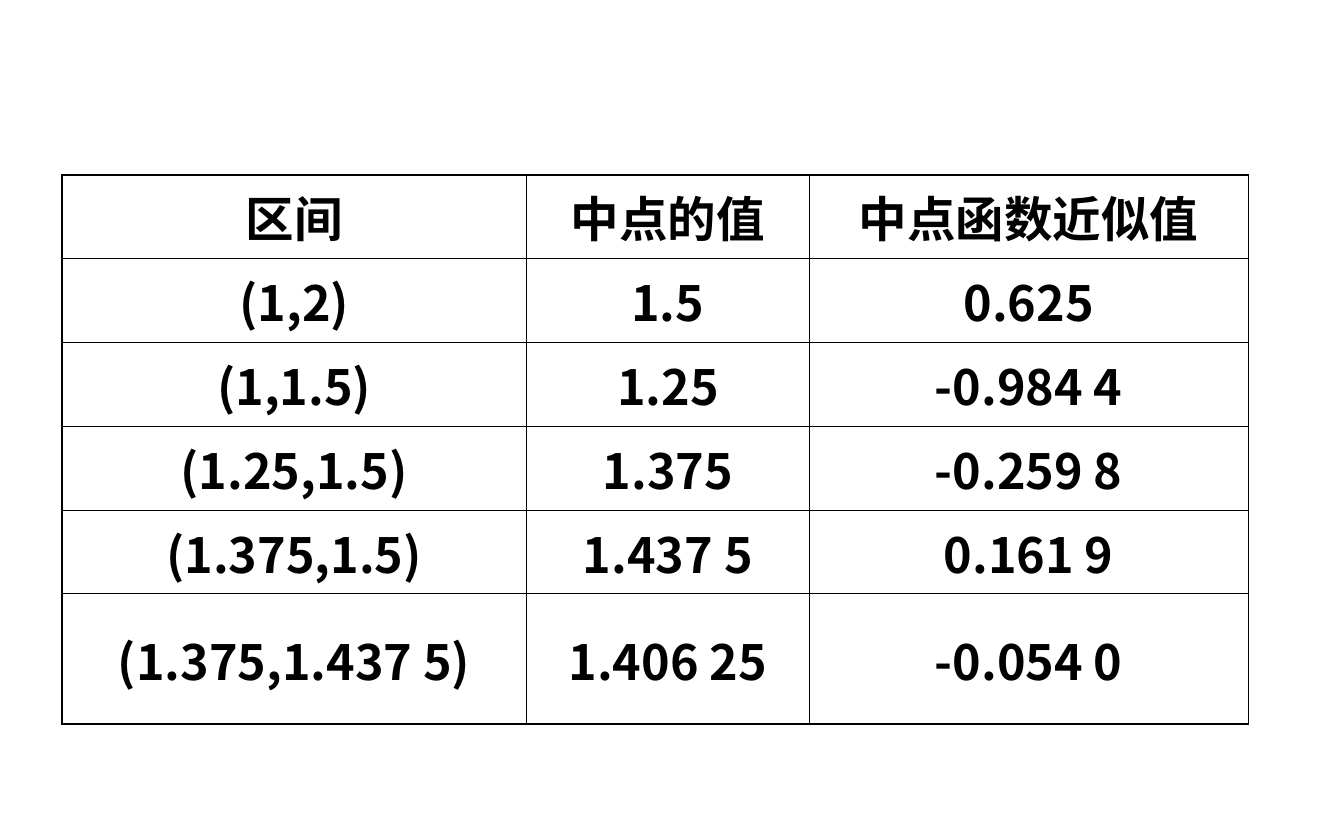
from lxml.etree import SubElement
from pptx import Presentation
from pptx.dml.color import RGBColor
from pptx.enum.text import MSO_ANCHOR, PP_ALIGN
from pptx.oxml.ns import qn
from pptx.util import Inches, Pt

BLACK = RGBColor(0, 0, 0)
WHITE = RGBColor(255, 255, 255)
FONT = "Noto Sans CJK SC"
THIN, THICK = 0.45, 0.96

WIDTHS = [3.46, 2.1, 3.27]
HEIGHTS = [0.6] * 5 + [0.97]
ROWS = [
    ["区间", "中点的值", "中点函数近似值"],
    ["(1,2)", "1.5", "0.625"],
    ["(1,1.5)", "1.25", "-0.984 4"],
    ["(1.25,1.5)", "1.375", "-0.259 8"],
    ["(1.375,1.5)", "1.437 5", "0.161 9"],
    ["(1.375,1.437 5)", "1.406 25", "-0.054 0"],
]


class Page:
    def __init__(self, slide, font=FONT, size=26, color=BLACK):
        self.slide = slide
        self.font = font
        self.size = size
        self.color = color

    def table(self, rows, left, top, widths, heights):
        frame = self.slide.shapes.add_table(
            len(rows), len(widths), Inches(left), Inches(top),
            Inches(sum(widths)), Inches(sum(heights)))
        grid = frame.table
        for col, width in zip(grid.columns, widths):
            col.width = Inches(width)
        for row, height in zip(grid.rows, heights):
            row.height = Inches(height)
        for r, row in enumerate(rows):
            for c, text in enumerate(row):
                cell = grid.cell(r, c)
                outer = {"L": c == 0, "R": c == len(row) - 1,
                         "T": r == 0, "B": r == len(rows) - 1}
                self.border(cell, outer)
                self.fill(cell, text)

    def border(self, cell, outer):
        """Draw thick lines on outer sides and thin ones elsewhere."""
        props = cell._tc.get_or_add_tcPr()
        for side, edge in outer.items():
            width = Pt(THICK if edge else THIN)
            line = SubElement(props, qn(f"a:ln{side}"), w=str(width))
            paint = SubElement(line, qn("a:solidFill"))
            SubElement(paint, qn("a:srgbClr"), val=str(self.color))

    def fill(self, cell, text):
        cell.fill.solid()
        cell.fill.fore_color.rgb = WHITE
        cell.vertical_anchor = MSO_ANCHOR.MIDDLE
        cell.text_frame.text = text
        para = cell.text_frame.paragraphs[0]
        para.alignment = PP_ALIGN.CENTER
        run = para.runs[0]
        run.font.name = self.font
        run.font.size = Pt(self.size)
        run.font.bold = True
        run.font.color.rgb = self.color
        SubElement(run.font._element, qn("a:ea"), typeface=self.font)


def main():
    deck = Presentation()
    deck.slide_width, deck.slide_height = Inches(10), Inches(6.25)
    page = Page(deck.slides.add_slide(deck.slide_layouts[6]))
    page.table(ROWS, 0.46, 1.3, WIDTHS, HEIGHTS)
    deck.save("out.pptx")


if __name__ == "__main__":
    main()
